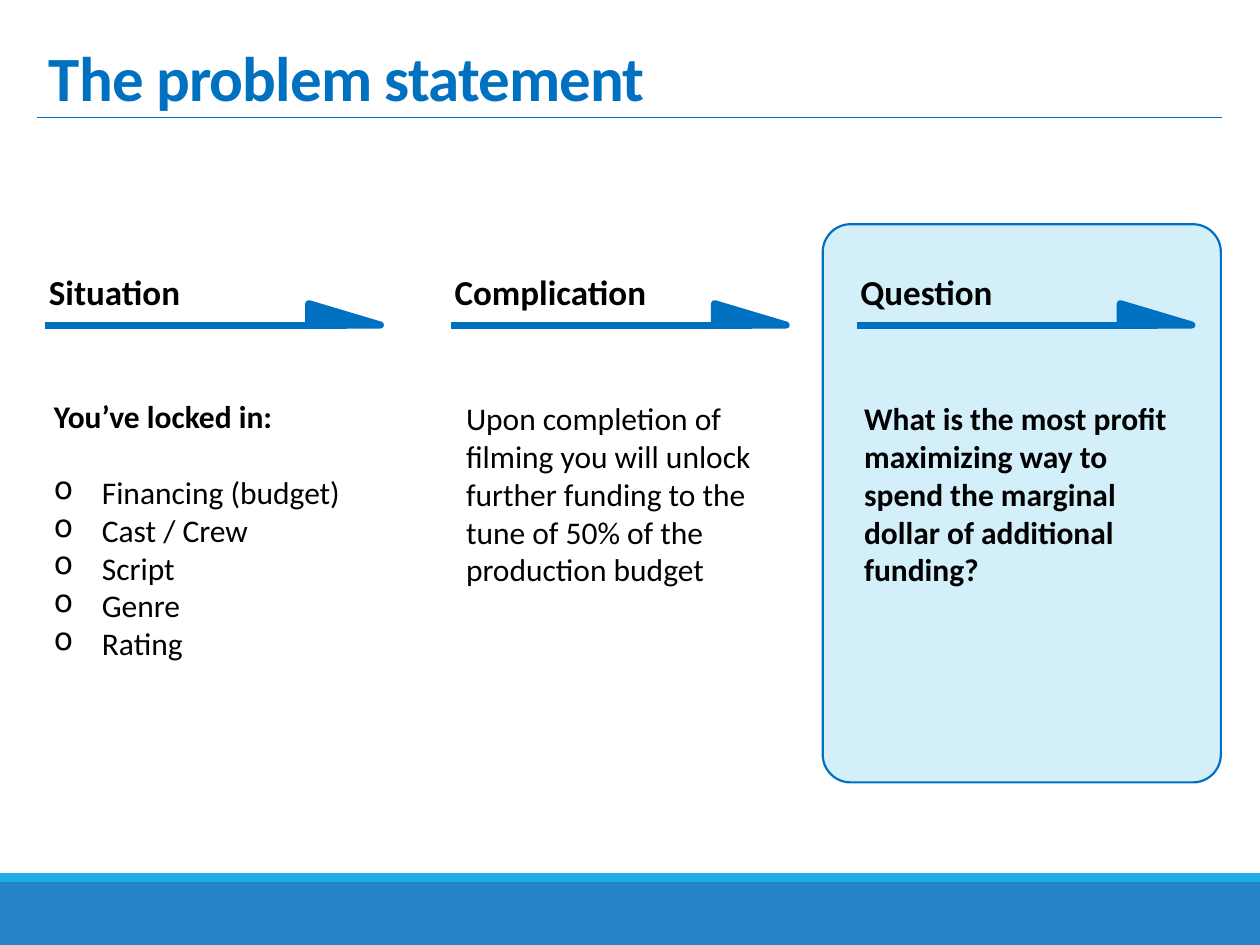
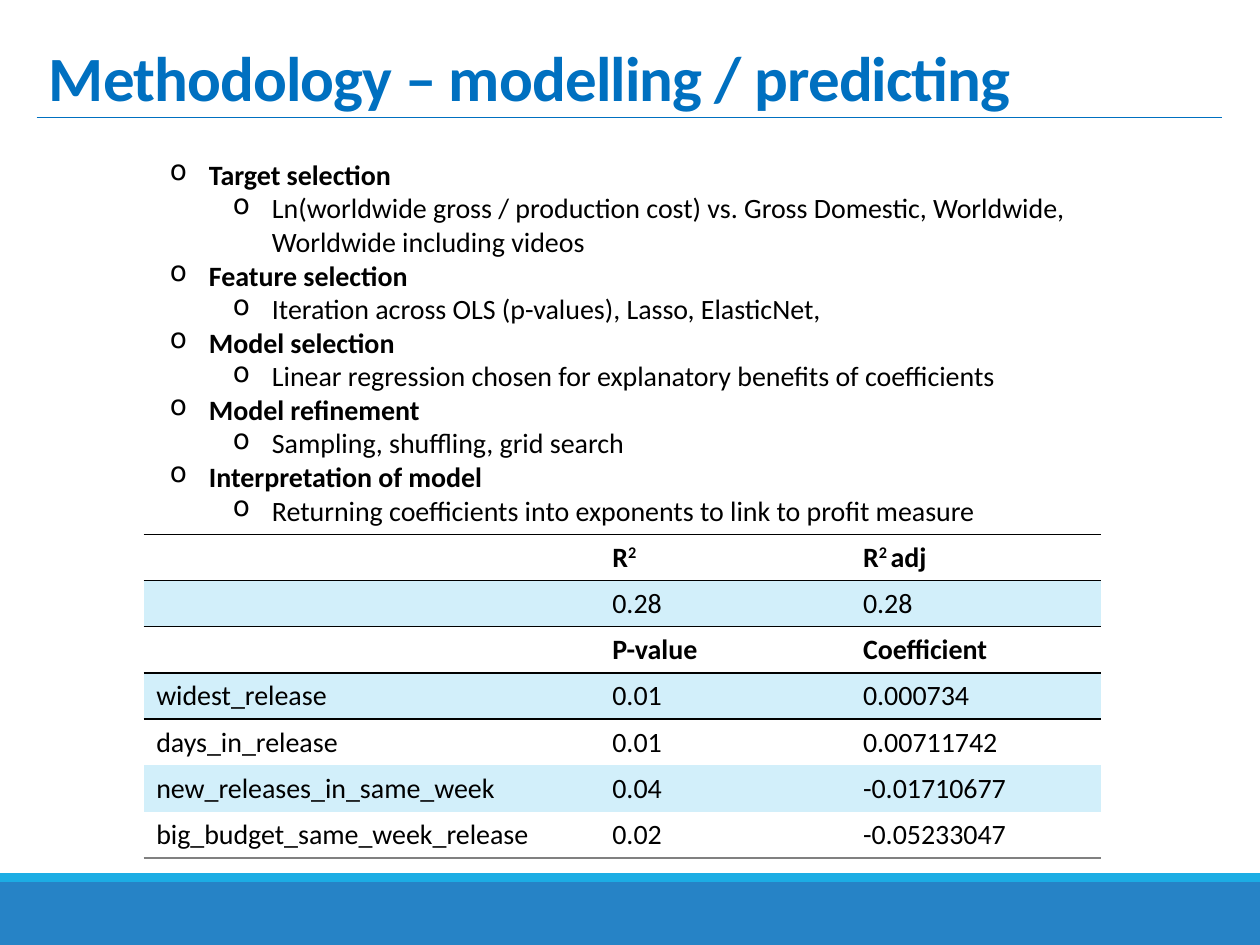
from dataclasses import dataclass
from lxml import etree
from pptx import Presentation
from pptx.dml.color import RGBColor
from pptx.enum.shapes import MSO_CONNECTOR, MSO_SHAPE
from pptx.enum.text import MSO_ANCHOR
from pptx.oxml.ns import qn
from pptx.util import Inches, Pt

RECT = MSO_SHAPE.RECTANGLE
ROUND = MSO_SHAPE.ROUNDED_RECTANGLE
WEDGE = MSO_SHAPE.RIGHT_TRIANGLE
STRAIGHT = MSO_CONNECTOR.STRAIGHT
TOP = MSO_ANCHOR.TOP
BOTTOM = MSO_ANCHOR.BOTTOM

FACE = "Calibri"
BLUE = "0070C0"
BAND = "2683C6"
CYAN = "1CADE4"
PALE = "D2EFFA"
BLACK = "000000"
GREY = "808080"


@dataclass
class Line:
    text: str
    bold: bool = False
    indent: float = 0
    hang: float = 0
    level: int = 0
    after: float = 0


@dataclass
class Column:
    head: str
    left: float
    top: float
    lines: list[Line]


@dataclass
class Row:
    cells: tuple[str, str, str]
    bold: bool = False
    tint: bool = False


def color(code: str) -> RGBColor:
    return RGBColor.from_string(code)


def style(para, size: float, bold: bool, code: str = BLACK) -> None:
    font = para.font
    font.name = FACE
    font.size = Pt(size)
    font.bold = bold
    font.color.rgb = color(code)


def shape(slide, kind, box: tuple, fill: str, edge: str = "", width: float = 0):
    item = slide.shapes.add_shape(kind, *map(Inches, box))
    item.shadow.inherit = False
    item.fill.solid()
    item.fill.fore_color.rgb = color(fill)
    if edge:
        item.line.color.rgb = color(edge)
        item.line.width = Pt(width)
    else:
        item.line.fill.background()
    return item


def rule(slide, left: float, right: float, top: float, width: float) -> None:
    item = slide.shapes.add_connector(
        STRAIGHT, Inches(left), Inches(top), Inches(right), Inches(top)
    )
    item.line.color.rgb = color(BLUE)
    item.line.width = Pt(width)
    etree.SubElement(item._element.spPr, qn("a:effectLst"))


def bullet(para, line: Line) -> None:
    props = para._p.get_or_add_pPr()
    props.set("marL", str(Inches(line.indent)))
    props.set("indent", str(-Inches(line.hang)))
    mark = etree.Element(qn("a:buChar"), char="o")
    props.insert_element_before(mark, "a:tabLst", "a:defRPr", "a:extLst")


def write(slide, box: tuple, lines: list[Line], size: float,
          code: str = BLACK, anchor=TOP):
    frame = slide.shapes.add_textbox(*map(Inches, box)).text_frame
    frame.word_wrap = True
    frame.vertical_anchor = anchor
    for spot, line in enumerate(lines):
        para = frame.add_paragraph() if spot else frame.paragraphs[0]
        para.text = line.text
        para.level = line.level
        para.space_after = Pt(line.after)
        style(para, size, line.bold, code)
        if line.hang:
            bullet(para, line)
    return frame


def start(deck, title: str):
    slide = deck.slides.add_slide(deck.slide_layouts[6])
    shape(slide, RECT, (0, 7, 10, 0.5), BAND)
    shape(slide, RECT, (0, 6.93, 10, 0.07), CYAN)
    rule(slide, 0.29, 9.7, 0.93, 0.5)
    frame = write(slide, (0.29, 0.31, 9.41, 0.62), [Line(title, True)],
                  36, BLUE, BOTTOM)
    frame.margin_bottom = Inches(0.02)
    para = frame.paragraphs[0]
    para.line_spacing = 0.85
    para.runs[0]._r.get_or_add_rPr().set("spc", "-50")
    return slide


def pillar(slide, spot: int, item: Column) -> None:
    left = 0.29 + 3.22 * spot
    write(slide, (left, 2.1, 2.8, 0.44), [Line(item.head, True)], 20)
    rule(slide, left + 0.07, left + 2.46, 2.58, 4)
    shape(slide, WEDGE, (left + 2.16, 2.41, 0.57, 0.17), BLUE, BLUE, 4)
    write(slide, (item.left, item.top, 2.69, 2.6), item.lines, 18)


def border(cell, edges: dict[str, str]) -> None:
    props = cell._tc.get_or_add_tcPr()
    for spot, side in enumerate(("L", "R", "T", "B")):
        code = edges.get(side, "")
        line = etree.Element(qn(f"a:ln{side}"), w=str(Pt(1) if code else 0))
        fill = etree.SubElement(line, qn("a:solidFill" if code else "a:noFill"))
        if code:
            etree.SubElement(fill, qn("a:srgbClr"), val=code)
        props.insert(spot, line)


def enter(cell, text: str, bold: bool) -> None:
    para = cell.text_frame.paragraphs[0]
    style(para, 16, bold)
    if not text:
        etree.SubElement(para._p, qn("a:endParaRPr"), sz="1600")
        return
    for spot, part in enumerate(text.split("^")):
        run = para.add_run()
        run.text = part
        if spot % 2:
            run._r.get_or_add_rPr().set("baseline", "30000")


def grid(slide, rows: list[Row], widths: list[float], rules: list[str]) -> None:
    table = slide.shapes.add_table(
        len(rows), len(widths), Inches(1.14), Inches(4.24),
        Inches(sum(widths)), Inches(2.57)
    ).table
    table.first_row = False
    table.horz_banding = False
    for col, width in zip(table.columns, widths):
        col.width = Inches(width)
    for spot, row in enumerate(rows):
        table.rows[spot].height = Inches(2.57 / len(rows))
        for cell, text in zip(table.rows[spot].cells, row.cells):
            enter(cell, text, row.bold)
            if row.tint:
                cell.fill.solid()
                cell.fill.fore_color.rgb = color(PALE)
            else:
                cell.fill.background()
            border(cell, {"T": rules[spot], "B": rules[spot + 1]})


ASSETS = ["Financing (budget)", "Cast / Crew", "Script", "Genre", "Rating"]
COLUMNS = [
    Column("Situation", 0.33, 3.1,
           [Line("You’ve locked in:", True, after=22)]
           + [Line(text, indent=0.38, hang=0.38) for text in ASSETS]),
    Column("Complication", 3.6, 3.12, [Line(
        "Upon completion of filming you will unlock further funding to the "
        "tune of 50% of the production budget")]),
    Column("Question", 6.76, 3.12, [Line(
        "What is the most profit maximizing way to spend the marginal dollar "
        "of additional funding?", True)]),
]
STEPS = [
    ("Target selection", "Ln(worldwide gross / production cost) vs. Gross "
     "Domestic, Worldwide, Worldwide including videos"),
    ("Feature selection", "Iteration across OLS (p-values), Lasso, ElasticNet,"),
    ("Model selection",
     "Linear regression chosen for explanatory benefits of coefficients"),
    ("Model refinement", "Sampling, shuffling, grid search"),
    ("Interpretation of model",
     "Returning coefficients into exponents to link to profit measure"),
]
ROWS = [
    Row(("", "R^2", "R^2 ^adj"), bold=True),
    Row(("", "0.28", "0.28"), tint=True),
    Row(("", "P-value", "Coefficient"), bold=True),
    Row(("widest_release", "0.01", "0.000734"), tint=True),
    Row(("days_in_release", "0.01", "0.00711742")),
    Row(("new_releases_in_same_week", "0.04", "-0.01710677"), tint=True),
    Row(("big_budget_same_week_release", "0.02", "-0.05233047")),
]


def problem(deck) -> None:
    slide = start(deck, "The problem statement")
    panel = shape(slide, ROUND, (6.53, 1.78, 3.16, 4.43), PALE, BLUE, 1.25)
    panel.adjustments[0] = 0.07
    for spot, item in enumerate(COLUMNS):
        pillar(slide, spot, item)


def method(deck) -> None:
    slide = start(deck, "Methodology – modelling / predicting")
    lines = []
    for head, note in STEPS:
        lines.append(Line(head, True, 0.31, 0.31))
        lines.append(Line(note, False, 0.81, 0.31, 1))
    write(slide, (1.25, 1.2, 7.49, 3.33), lines, 16)
    grid(slide, ROWS, [3.62, 1.99, 1.99], [BLACK] * 5 + ["", "", GREY])


def main() -> None:
    deck = Presentation()
    deck.slide_width = Inches(10)
    deck.slide_height = Inches(7.5)
    problem(deck)
    method(deck)
    deck.save("out.pptx")


main()
